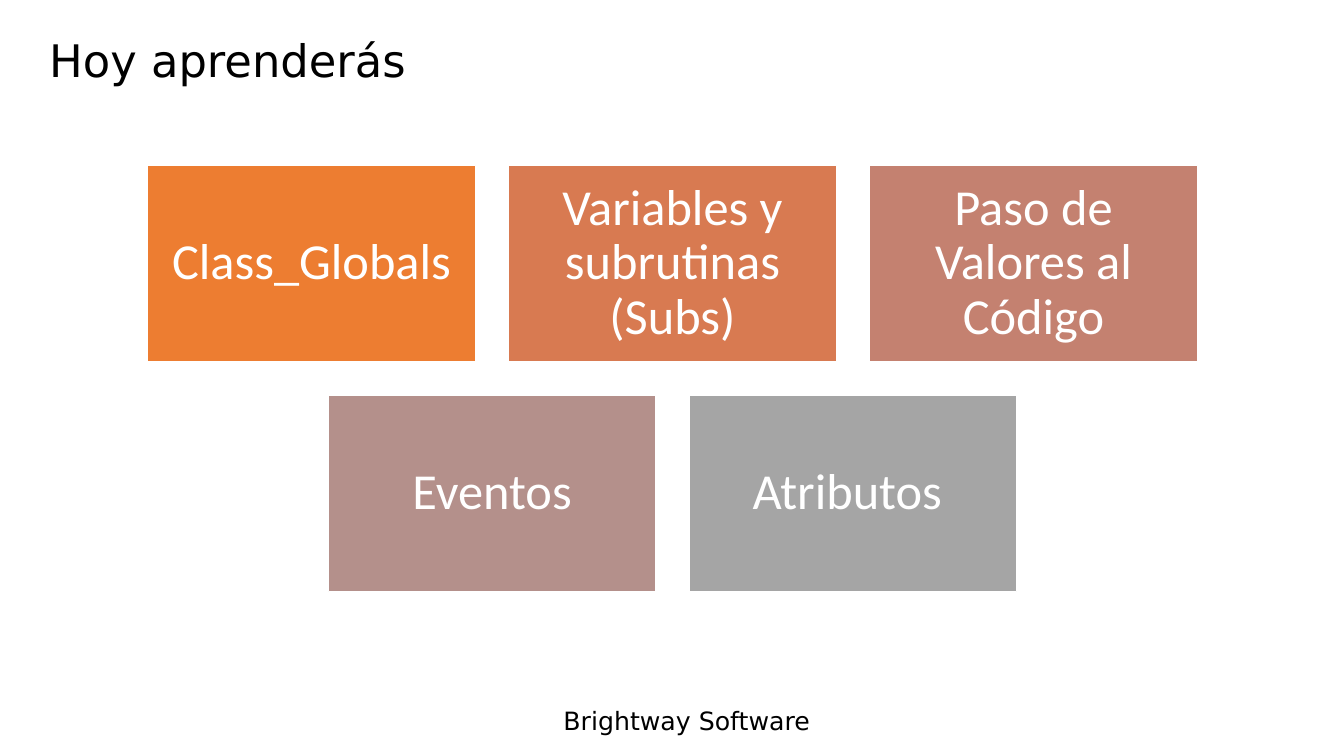
"""Build the slide that lists today's lesson topics as centred rows of tiles."""
from dataclasses import dataclass

from pptx import Presentation
from pptx.dml.color import RGBColor
from pptx.enum.shapes import MSO_SHAPE
from pptx.enum.text import MSO_ANCHOR, PP_ALIGN
from pptx.shapes.autoshape import Shape
from pptx.slide import Slide
from pptx.util import Inches, Pt

COLOURS = {
    "orange": "ED7D31",
    "copper": "D87A51",
    "clay": "C48170",
    "mauve": "B4908B",
    "grey": "A5A5A5",
    "white": "FFFFFF",
    "black": "000000",
}
TILE_WIDTH, TILE_HEIGHT, GAP = 3.25, 1.95, 0.33
ROWS_CENTRE, ROWS_TOP = 6.67, 1.64


@dataclass(frozen=True)
class Topic:
    text: str
    colour: str


TOPIC_ROWS = [
    [
        Topic("Class_Globals", "orange"),
        Topic("Variables y subrutinas (Subs)", "copper"),
        Topic("Paso de Valores al Código", "clay"),
    ],
    [Topic("Eventos", "mauve"), Topic("Atributos ", "grey")],
]


def colour_of(name: str) -> RGBColor:
    return RGBColor.from_string(COLOURS[name])


def write_text(
    box: Shape,
    text: str,
    *,
    size: float,
    font: str = "DejaVu Sans",
    colour: str = "black",
    align: PP_ALIGN = PP_ALIGN.LEFT,
    anchor: MSO_ANCHOR = MSO_ANCHOR.MIDDLE,
    spacing: float = 0.9,
    inset: float | None = None,
) -> None:
    frame = box.text_frame
    frame.word_wrap = True
    frame.vertical_anchor = anchor
    if inset is not None:
        frame.margin_left = frame.margin_right = Inches(inset)
        frame.margin_top = frame.margin_bottom = Inches(inset)
    para = frame.paragraphs[0]
    para.alignment = align
    para.line_spacing = spacing
    span = para.add_run()
    span.text = text
    span.font.name = font
    span.font.size = Pt(size)
    span.font.color.rgb = colour_of(colour)


def add_label(page: Slide, left: float, top: float, width: float, height: float) -> Shape:
    return page.shapes.add_textbox(Inches(left), Inches(top), Inches(width), Inches(height))


def add_tile(page: Slide, topic: Topic, left: float, top: float) -> None:
    tile = page.shapes.add_shape(
        MSO_SHAPE.RECTANGLE, Inches(left), Inches(top), Inches(TILE_WIDTH), Inches(TILE_HEIGHT)
    )
    tile.shadow.inherit = False
    tile.fill.solid()
    tile.fill.fore_color.rgb = colour_of(topic.colour)
    tile.line.color.rgb = colour_of("white")
    tile.line.width = Pt(1)
    write_text(
        tile, topic.text, size=36, font="Calibri", colour="white", align=PP_ALIGN.CENTER, inset=0.15
    )


def add_topic_rows(page: Slide) -> None:
    for row_index, row in enumerate(TOPIC_ROWS):
        row_width = len(row) * (TILE_WIDTH + GAP) - GAP
        top = ROWS_TOP + row_index * (TILE_HEIGHT + GAP)
        for column, topic in enumerate(row):
            left = ROWS_CENTRE - row_width / 2 + column * (TILE_WIDTH + GAP)
            add_tile(page, topic, left, top)


def main() -> None:
    deck = Presentation()
    deck.slide_width, deck.slide_height = Inches(13.33), Inches(7.5)
    page = deck.slides.add_slide(deck.slide_layouts[6])
    footer = add_label(page, 5.49, 6.95, 2.9, 0.4)
    write_text(footer, "Brightway Software", size=18, anchor=MSO_ANCHOR.TOP, spacing=1.0)
    title = add_label(page, 0.39, 0.15, 11.5, 0.95)
    write_text(title, "Hoy aprenderás", size=32)
    add_topic_rows(page)
    deck.save("out.pptx")


if __name__ == "__main__":
    main()
